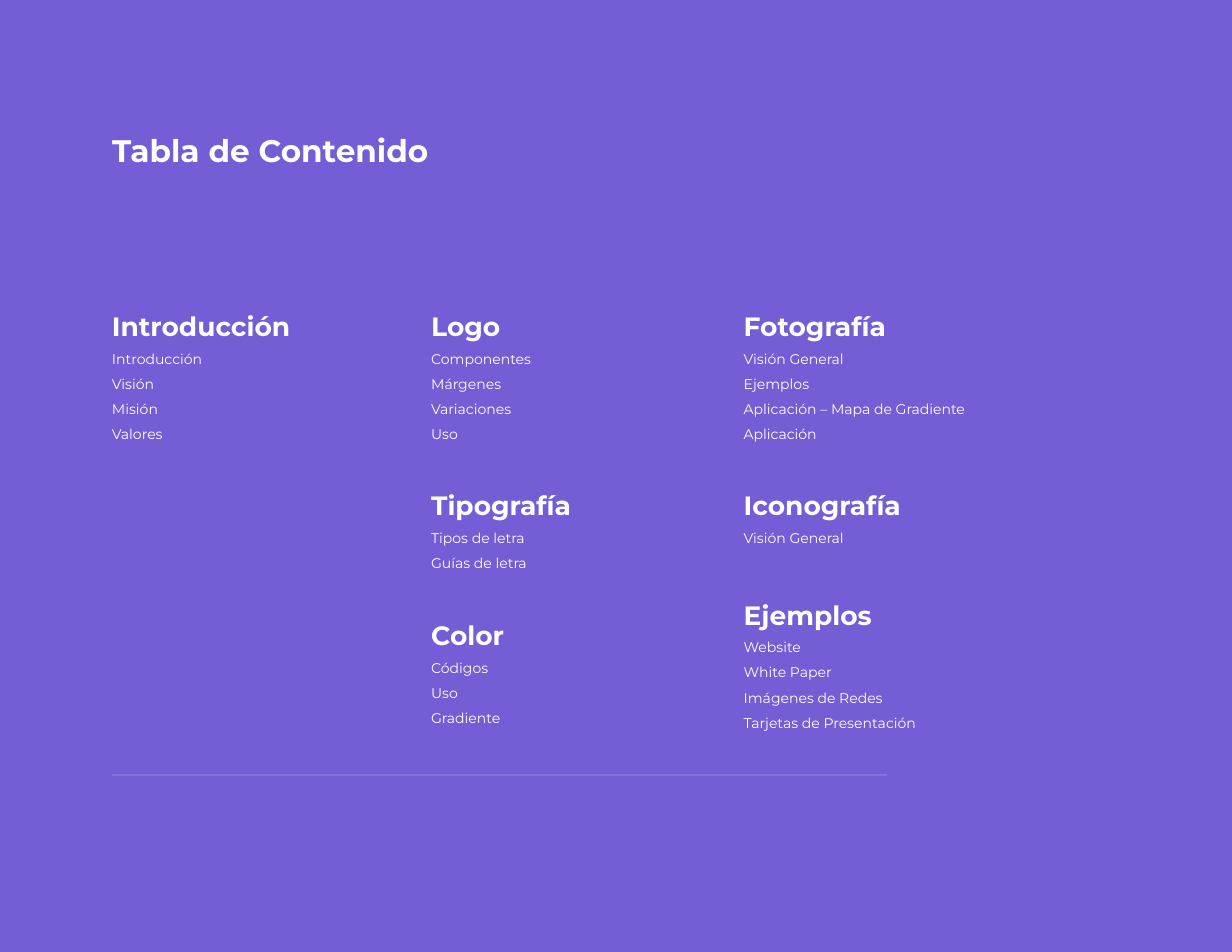
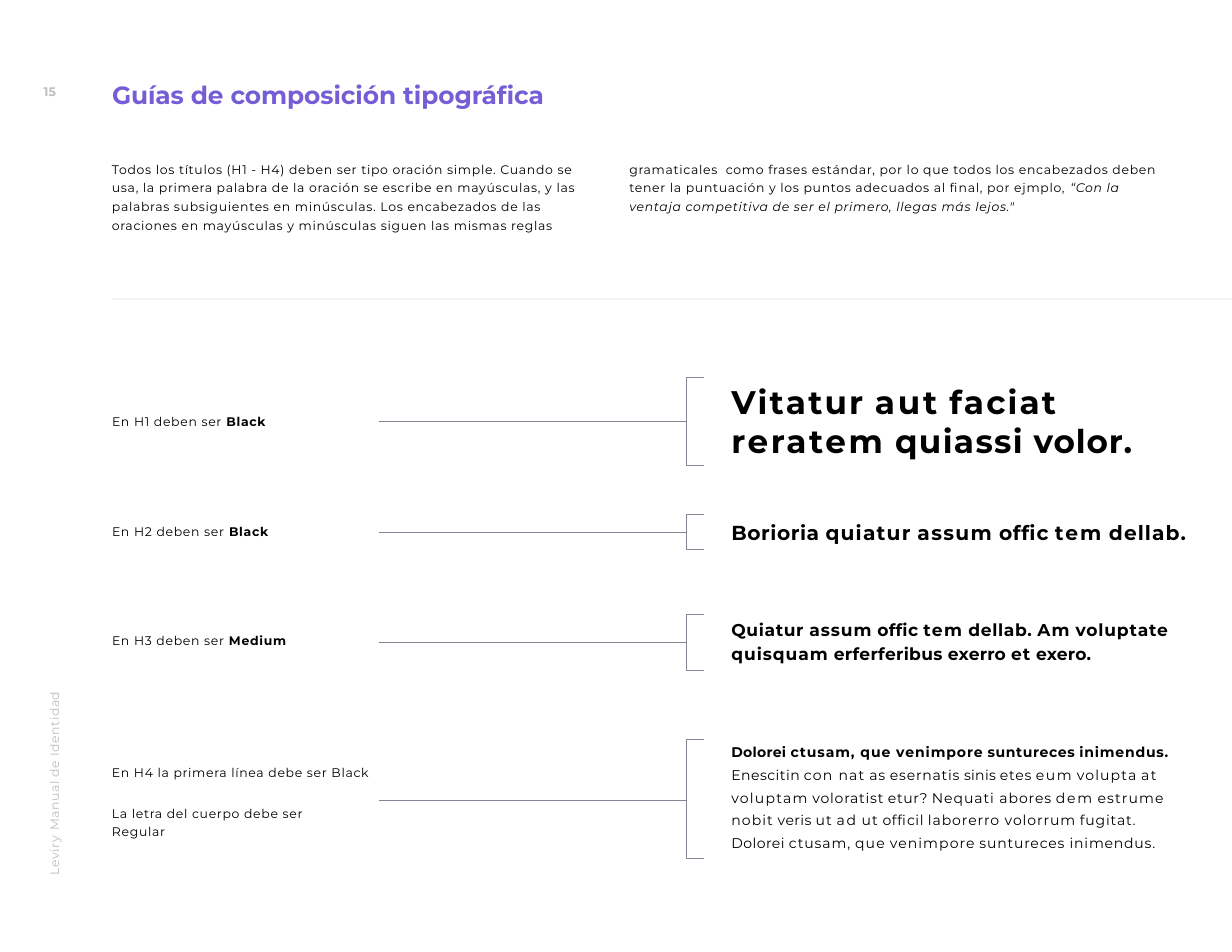
from dataclasses import dataclass
from typing import NamedTuple, Optional

from lxml import etree
from pptx import Presentation
from pptx import util as u
from pptx.dml import color as colors
from pptx.enum import shapes, text
from pptx.oxml import ns


@dataclass(frozen=True)
class Style:
    size: float
    color: str
    leading: Optional[float] = None
    bold: bool = False
    tracking: float = 0
    space_after: float = 0


@dataclass(frozen=True)
class Theme:
    font: str = "Montserrat"
    purple: str = "755DD5"
    white: str = "FFFFFF"
    black: str = "000000"
    pale: str = "BFBFBF"
    rule: str = "A6A6A6"
    bracket: str = "878593"
    rule_width: float = 0.5
    bracket_width: float = 0.15
    rule_opacity: int = 36
    page_width: float = 11
    page_height: float = 8.5
    margin: float = 1
    cover_title: Style = Style(20, white, 30.6, True)
    section: Style = Style(17, white, 24.8, True)
    entry: Style = Style(9, white, 12.6, space_after=3.5)
    page_title: Style = Style(16, purple, 30.6, True, -0.04)
    body: Style = Style(8, black, 12, tracking=0.43)
    side_note: Style = Style(8, pale, 11.2, tracking=0.3)
    page_number: Style = Style(8, pale, bold=True)
    h1: Style = Style(21, black, bold=True)
    h2: Style = Style(13, black, 18.9, True)
    h3: Style = Style(11, black, 15.8, True)
    h4: Style = Style(9, black, 14.5)


THEME = Theme()


class Box(NamedTuple):
    left: float
    top: float
    width: float
    height: float


class Point(NamedTuple):
    x: float
    y: float


class Run(NamedTuple):
    text: str
    tracking: Optional[float] = None
    bold: Optional[bool] = None
    italic: bool = False


class Section(NamedTuple):
    left: float
    top: float
    title: str
    entries: list[str]


class Label(NamedTuple):
    top: float
    runs: list[Run]
    width: float = 2.11
    height: float = 0.2


class Specimen(NamedTuple):
    leader_y: float
    bracket_top: float
    bracket_bottom: float
    labels: list[Label]
    box: Box
    style: Style
    runs: list[Run]


SECTIONS = [
    Section(1, 2.71, "Introducción", ["Introducción", "Visión", "Misión", "Valores"]),
    Section(3.85, 2.71, "Logo", ["Componentes", "Márgenes", "Variaciones", "Uso"]),
    Section(3.85, 4.31, "Tipografía", ["Tipos de letra", "Guías de letra"]),
    Section(3.85, 5.47, "Color", ["Códigos", "Uso", "Gradiente"]),
    Section(6.64, 2.71, "Fotografía", ["Visión General", "Ejemplos", "Aplicación – Mapa de Gradiente", "Aplicación"]),
    Section(6.64, 4.31, "Iconografía", ["Visión General"]),
    Section(6.64, 5.29, "Ejemplos", ["Website", "White Paper", "Imágenes de Redes", "Tarjetas de Presentación"]),
]

H1_RUNS = [
    Run("Vitatur ", 1.4), Run("aut ", 1.8), Run("faciat ", 1.4),
    Run("reratem ", 1.7), Run("quiassi ", 0.9), Run("volor.", 0.6),
]
H2_RUNS = [
    Run("Borioria ", 0.4), Run("quiatur ", 0.8), Run("assum ", 0.9),
    Run("offic ", 0.4), Run("tem ", 1.3), Run("dellab.", 0.7),
]
H3_RUNS = [
    Run("Quiatur ", 0.4), Run("assum ", 0.6), Run("offic ", 0.1), Run("tem ", 0.9),
    Run("dellab. ", 0.4), Run("Am ", 0.7), Run("voluptate ", 0.5), Run("quisquam ", 0.6),
    Run("erferferibus ", 0.2), Run("exerro ", 0.1), Run("et ", 0.6), Run("exero.", 0.1),
]
H4_RUNS = [
    Run("Dolorei ", 0.2, True), Run("ctusam, que venimpore ", 0.6, True),
    Run("suntureces ", 0.4, True), Run("inimendus. ", 0.5, True),
    Run("Enescitin ", 0.3), Run("con nat ", 0.8), Run("as ", 0.6), Run("esernatis ", 0.5),
    Run("sinis ", 0.2), Run("etes ", 0.5), Run("eum ", 1), Run("volupta ", 0.7),
    Run("at ", 0.9), Run("voluptam ", 0.8), Run("voloratist ", 0.5), Run("etur? ", 0.4),
    Run("Nequati abores ", 0.6), Run("dem ", 1.1), Run("estrume nobit ", 0.7),
    Run("veris ", 0.3), Run("ut ", 0.7), Run("ad ", 1.1), Run("ut ", 0.7),
    Run("officil ", 0.4), Run("laborerro volorrum ", 0.6), Run("fugitat. ", 0.5),
    Run("Dolorei ", 0.3), Run("ctusam, ", 0.6), Run("que ", 0.8),
    Run("venimpore ", 0.7), Run("suntureces inimendus.", 0.5),
]


def level_label(top: float, level: str, weight: str) -> Label:
    return Label(top, [Run(f"En {level} deben ser "), Run(weight, bold=True)])


SPECIMENS = [
    Specimen(3.76, 3.37, 4.15, [level_label(3.66, "H1", "Black")],
             Box(6.53, 3.41, 3.75, 0.76), THEME.h1, H1_RUNS),
    Specimen(4.75, 4.59, 4.9, [level_label(4.65, "H2", "Black")],
             Box(6.53, 4.6, 4.4, 0.3), THEME.h2, H2_RUNS),
    Specimen(5.73, 5.48, 5.98, [level_label(5.62, "H3", "Medium")],
             Box(6.53, 5.49, 4.05, 0.48), THEME.h3, H3_RUNS),
    Specimen(7.14, 6.6, 7.66,
             [Label(6.8, [Run("En H4 la primera línea debe ser Black")], 2.37),
              Label(7.16, [Run("La letra del cuerpo debe ser Regular")], 1.97, 0.37)],
             Box(6.53, 6.59, 4.07, 1.08), THEME.h4, H4_RUNS),
]


def rgb(value: str) -> colors.RGBColor:
    return colors.RGBColor.from_string(value)


def untrack_spaces(runs: list[Run]) -> list[Run]:
    result = []
    for run in runs:
        result.append(run._replace(text=run.text.rstrip()))
        if run.text.endswith(" "):
            result.append(run._replace(text=" ", tracking=0))
    return result


def add_text(slide, box: Box, paragraphs: list[list[Run]], style: Style):
    shape = slide.shapes.add_textbox(*(u.Inches(length) for length in box))
    frame = shape.text_frame
    frame.word_wrap = True
    frame.margin_left = frame.margin_top = frame.margin_right = 0
    frame.margin_bottom = u.Inches(0.05)
    for index, runs in enumerate(paragraphs):
        paragraph = frame.add_paragraph() if index else frame.paragraphs[0]
        paragraph.space_after = u.Pt(style.space_after)
        if style.leading:
            paragraph.line_spacing = u.Pt(style.leading)
        for item in runs:
            run = paragraph.add_run()
            run.text = item.text
            run.font.name = THEME.font
            run.font.size = u.Pt(style.size)
            run.font.bold = style.bold if item.bold is None else item.bold
            run.font.italic = item.italic
            run.font.color.rgb = rgb(style.color)
            tracking = style.tracking if item.tracking is None else item.tracking
            if tracking:
                run._r.get_or_add_rPr().set("spc", str(round(tracking * 100)))
    return shape


def add_line(slide, start: Point, end: Point, color: str, width: float, opacity: int = 100) -> None:
    ends = (u.Inches(length) for length in (*start, *end))
    connector = slide.shapes.add_connector(shapes.MSO_CONNECTOR.STRAIGHT, *ends)
    connector.line.color.rgb = rgb(color)
    connector.line.width = u.Pt(width)
    properties = connector._element.spPr
    if opacity < 100:
        fill = properties.find(".//" + ns.qn("a:srgbClr"))
        etree.SubElement(fill, ns.qn("a:alpha")).set("val", str(opacity * 1000))
    etree.SubElement(properties, ns.qn("a:effectLst"))


def add_rule(slide, y: float, right: float, color: str) -> None:
    add_line(slide, Point(THEME.margin, y), Point(right, y), color, THEME.rule_width, THEME.rule_opacity)


def add_bracket(slide, specimen: Specimen) -> None:
    spine, tip = 6.13, 6.29
    add_line(slide, Point(3.38, specimen.leader_y), Point(spine, specimen.leader_y),
             THEME.bracket, THEME.bracket_width)
    top, bottom = u.Inches(specimen.bracket_top), u.Inches(specimen.bracket_bottom)
    builder = slide.shapes.build_freeform(u.Inches(tip), top)
    builder.add_line_segments(
        [(u.Inches(spine), top), (u.Inches(spine), bottom), (u.Inches(tip), bottom)], close=False)
    shape = builder.convert_to_shape()
    shape.shadow.inherit = False
    shape.fill.background()
    shape.line.color.rgb = rgb(THEME.bracket)
    shape.line.width = u.Pt(THEME.bracket_width)


def add_section(slide, section: Section) -> None:
    add_text(slide, Box(section.left, section.top, 2.36, 0.38), [[Run(section.title)]], THEME.section)
    entries = [[Run(entry)] for entry in section.entries]
    add_text(slide, Box(section.left, section.top + 0.39, 2.6, 0.22 * len(entries)), entries, THEME.entry)


def add_page_frame(slide, title: str, number: str) -> None:
    add_text(slide, Box(THEME.margin, 0.55, 4.62, 0.43), [[Run(title)]], THEME.page_title)
    note = add_text(slide, Box(-0.87, 6.35, 2.73, 0.2),
                    [[Run("Leviry ", 0.4), Run("Manual de Identidad")]], THEME.side_note)
    note.rotation = 270
    page = add_text(slide, Box(0.39, 0.7, 0.24, 0.13), [[Run(number)]], THEME.page_number)
    page.text_frame.margin_top = u.Inches(0.1)
    page.text_frame.margin_bottom = 0
    page.text_frame.vertical_anchor = text.MSO_ANCHOR.MIDDLE


def build_contents(slide) -> None:
    panel = slide.shapes.add_shape(shapes.MSO_SHAPE.RECTANGLE, 0, 0,
                                   u.Inches(THEME.page_width), u.Inches(THEME.page_height))
    panel.shadow.inherit = False
    panel.fill.solid()
    panel.fill.fore_color.rgb = rgb(THEME.purple)
    panel.line.fill.background()
    add_text(slide, Box(THEME.margin, 1.08, 3.32, 0.45), [[Run("Tabla de Contenido")]], THEME.cover_title)
    for section in SECTIONS:
        add_section(slide, section)
    add_rule(slide, 6.92, 7.92, THEME.white)


def build_typography(slide) -> None:
    add_page_frame(slide, "Guías de composición tipográfica", "15")
    add_text(slide, Box(THEME.margin, 1.41, 4.26, 0.71), [[Run(
        "Todos los títulos (H1 - H4) deben ser tipo oración simple. Cuando se usa, la primera "
        "palabra de la oración se escribe en mayúsculas, y las palabras subsiguientes en "
        "minúsculas. Los encabezados de las oraciones en mayúsculas y minúsculas siguen las "
        "mismas reglas")]], THEME.body)
    add_text(slide, Box(5.62, 1.41, 4.76, 0.54), [[
        Run("gramaticales  como frases estándar, por lo que todos los encabezados deben tener "
            "la puntuación y los puntos adecuados al final, por ejmplo, "),
        Run("“Con la ventaja competitiva de ser el primero, llegas más lejos.\"", italic=True),
    ]], THEME.body)
    add_rule(slide, 2.67, THEME.page_width, THEME.rule)
    for specimen in SPECIMENS:
        add_bracket(slide, specimen)
        for label in specimen.labels:
            add_text(slide, Box(THEME.margin, label.top, label.width, label.height),
                     [label.runs], THEME.body)
        add_text(slide, specimen.box, [untrack_spaces(specimen.runs)], specimen.style)


def main() -> None:
    presentation = Presentation()
    presentation.slide_width = u.Inches(THEME.page_width)
    presentation.slide_height = u.Inches(THEME.page_height)
    for build in (build_contents, build_typography):
        build(presentation.slides.add_slide(presentation.slide_layouts[6]))
    presentation.save("out.pptx")


if __name__ == "__main__":
    main()
